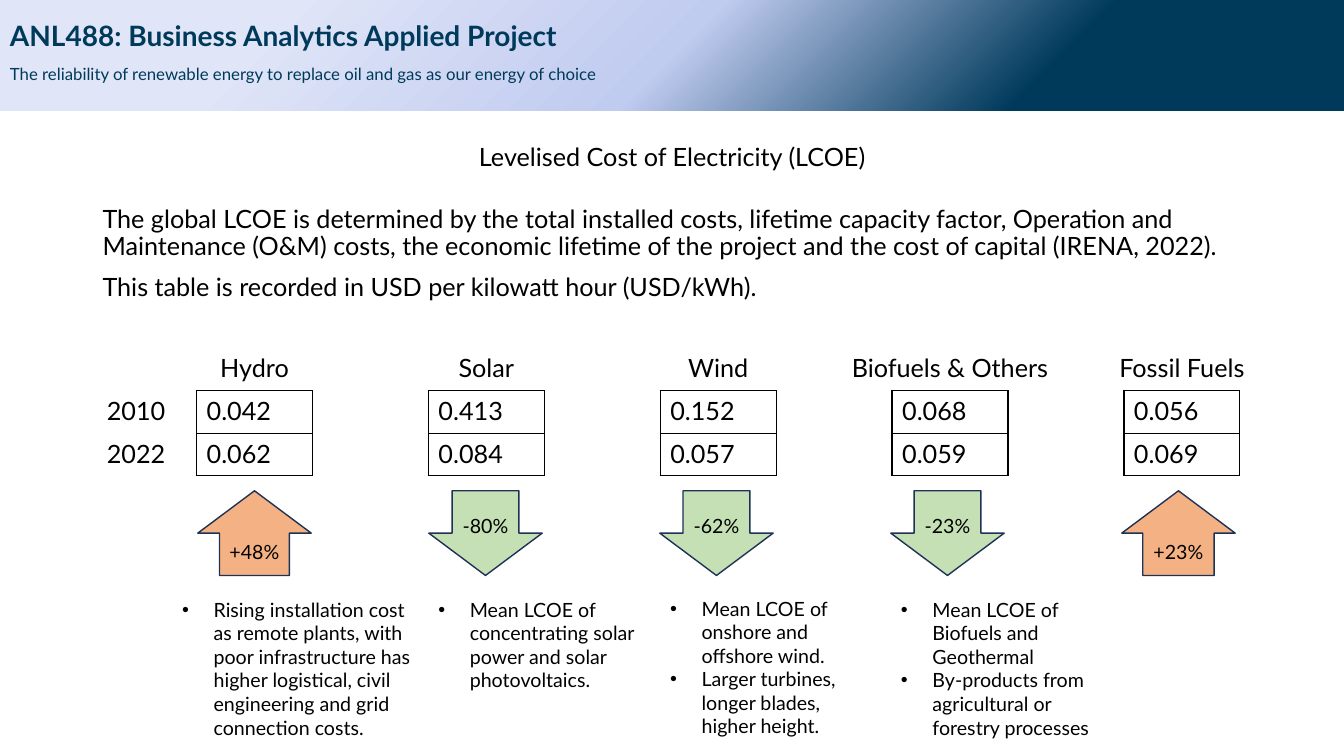
import pptx
import pptx.util
import pptx.dml.color
import pptx.enum.shapes
import pptx.enum.text
import pptx.oxml
import pptx.oxml.ns
import lxml.etree

Pt = pptx.util.Pt
RGBColor = pptx.dml.color.RGBColor
SHAPE = pptx.enum.shapes.MSO_SHAPE
ALIGN = pptx.enum.text.PP_ALIGN
ANCHOR = pptx.enum.text.MSO_ANCHOR
qn = pptx.oxml.ns.qn

TITLE = "ANL488: Business Analytics Applied Project"
SUBTITLE = "The reliability of renewable energy to replace oil and gas as our energy of choice"
HEADING = "Levelised Cost of Electricity (LCOE)"
INTRO = [
    "The global LCOE is determined by the total installed costs, lifetime capacity factor, "
    "Operation and Maintenance (O&M) costs, the economic lifetime of the project and the "
    "cost of capital (IRENA, 2022).",
    "This table is recorded in USD per kilowatt hour (USD/kWh).",
]
YEARS = ["2010", "2022"]
SOURCES = [
    ("Hydro", 82, ("0.042", "0.062"), "+48%", 0.616),
    ("Solar", 82, ("0.413", "0.084"), "-80%", 0.589),
    ("Wind", 82, ("0.152", "0.057"), "-62%", 0.589),
    ("Biofuels & Others", 158, ("0.068", "0.059"), "-23%", 0.589),
    ("Fossil Fuels", 110, ("0.056", "0.069"), "+23%", 0.629),
]
NOTES = [
    (123, 423.4, 178, 109, ["Rising installation cost as remote plants, with poor infrastructure has "
                            "higher logistical, civil engineering and grid connection costs."]),
    (306, 423.4, 160, 75, ["Mean LCOE of concentrating solar power and solar photovoltaics."]),
    (471.6, 422.6, 160, 109, ["Mean LCOE of onshore and offshore wind.",
                              "Larger turbines, longer blades, higher height."]),
    (636.5, 423.4, 153, 109, ["Mean LCOE of Biofuels and Geothermal",
                              "By-products from agricultural or forestry processes"]),
]

NAVY = RGBColor(0x00, 0x3A, 0x5B)
OUTLINE = RGBColor(0x1E, 0x32, 0x56)
BLACK = RGBColor(0, 0, 0)
WHITE = RGBColor(255, 255, 255)
ORANGE = RGBColor(0xF4, 0xB1, 0x83)
GREEN = RGBColor(0xC5, 0xE0, 0xB4)
GRADIENT = [(23, NAVY), (50, RGBColor(0xC0, 0xCB, 0xF0)), (80, RGBColor(0xE0, 0xE5, 0xF7))]

PAGE_WIDTH, PAGE_HEIGHT = 960, 540
TABLE_LEFT, TABLE_TOP = 69.1, 279.2
YEAR_WIDTH, COLUMN_WIDTH, ROW_HEIGHT = 71.3, 82.8, 30.3
FIRST_CENTRE = TABLE_LEFT + YEAR_WIDTH + COLUMN_WIDTH / 2
ARROW_PITCH, ARROW_WIDTH, ARROW_HEIGHT, ARROW_TOP = 165, 81, 60.5, 350.6


def write(frame, lines, size, colour=BLACK, bold=False, align=ALIGN.LEFT,
          spacing=None, gap=0, bullet=False):
    frame.word_wrap = True
    for index, line in enumerate(lines):
        para = frame.paragraphs[0] if index == 0 else frame.add_paragraph()
        if bullet:
            properties = para._p.get_or_add_pPr()
            properties.set("marL", str(Pt(22.5)))
            properties.set("indent", str(-Pt(22.5)))
            lxml.etree.SubElement(properties, qn("a:buFont")).set("typeface", "Arial")
            lxml.etree.SubElement(properties, qn("a:buChar")).set("char", "•")
        para.alignment = align
        if spacing:
            para.line_spacing = spacing
        if index and gap:
            para.space_before = Pt(gap)
        span = para.add_run()
        span.text = line
        look = {"name": "Lato", "size": Pt(size), "bold": bold}
        for key, value in look.items():
            setattr(span.font, key, value)
        span.font.color.rgb = colour


def add_text(left, top, width, height, lines, size, **look):
    box = page.shapes.add_textbox(Pt(left), Pt(top), Pt(width), Pt(height))
    write(box.text_frame, lines, size, **look)


def fill_gradient(shape):
    stops = "".join(f'<a:gs pos="{place * 1000}"><a:srgbClr val="{colour}"/></a:gs>'
                    for place, colour in GRADIENT)
    gradient = pptx.oxml.parse_xml(
        f'<a:gradFill {pptx.oxml.ns.nsdecls("a")} rotWithShape="1"><a:gsLst>{stops}</a:gsLst>'
        '<a:path path="circle"><a:fillToRect l="100000" t="100000"/></a:path></a:gradFill>')
    shape._element.spPr.find(qn("a:prstGeom")).addnext(gradient)


def set_borders(cell, colours):
    properties = cell._tc.get_or_add_tcPr()
    for index, (side, colour) in enumerate(zip(("lnL", "lnR", "lnT", "lnB"), colours)):
        paint = f'<a:solidFill><a:srgbClr val="{colour}"/></a:solidFill>' if colour else "<a:noFill/>"
        properties.insert(index, pptx.oxml.parse_xml(
            f'<a:{side} {pptx.oxml.ns.nsdecls("a")} w="12700">{paint}</a:{side}>'))


deck = pptx.Presentation()
deck.slide_width, deck.slide_height = Pt(PAGE_WIDTH), Pt(PAGE_HEIGHT)
page = deck.slides.add_slide(deck.slide_layouts[6])

banner = page.shapes.add_shape(SHAPE.RECTANGLE, 0, 0, Pt(PAGE_WIDTH), Pt(79.2))
banner.shadow.inherit = False
banner.line.fill.background()
fill_gradient(banner)
banner.text_frame.vertical_anchor = ANCHOR.MIDDLE
banner.text_frame.margin_bottom = Pt(29)
write(banner.text_frame, [TITLE], 20, colour=NAVY, bold=True, spacing=0.9)

add_text(66.2, 144, 828, 80, INTRO, 18, spacing=0.9, gap=10)
add_text(0, 43.9, 531, 22.3, [SUBTITLE], 12, colour=NAVY, spacing=0.9)
add_text(66.2, 97.2, 828, 29, [HEADING], 18, align=ALIGN.CENTER)

column_count = 2 * len(SOURCES)
table_frame = page.shapes.add_table(
    len(YEARS), column_count, Pt(TABLE_LEFT), Pt(TABLE_TOP),
    Pt(YEAR_WIDTH + COLUMN_WIDTH * (column_count - 1)), Pt(ROW_HEIGHT * len(YEARS)))
table = table_frame.table
table.first_row = table.horz_banding = False
for index, column in enumerate(table.columns):
    column.width = Pt(COLUMN_WIDTH if index else YEAR_WIDTH)
for row, year in enumerate(YEARS):
    table.rows[row].height = Pt(ROW_HEIGHT)
    for column in range(column_count):
        cell = table.cell(row, column)
        cell.fill.solid()
        cell.fill.fore_color.rgb = WHITE
        if column % 2:
            set_borders(cell, [BLACK] * 4)
            content = SOURCES[column // 2][2][row]
        else:
            set_borders(cell, [BLACK if column else None, BLACK, None, None])
            content = "" if column else year
        write(cell.text_frame, [content], 18)

for index, (name, width, values, change, shaft) in enumerate(SOURCES):
    heading_centre = FIRST_CENTRE + index * 2 * COLUMN_WIDTH
    add_text(heading_centre - width / 2, 248.4, width, 29, [name], 18, align=ALIGN.CENTER)

    rising = change.startswith("+")
    arrow = page.shapes.add_shape(
        SHAPE.UP_ARROW if rising else SHAPE.DOWN_ARROW,
        Pt(FIRST_CENTRE + index * ARROW_PITCH - ARROW_WIDTH / 2), Pt(ARROW_TOP),
        Pt(ARROW_WIDTH), Pt(ARROW_HEIGHT))
    arrow.shadow.inherit = False
    arrow.adjustments[0], arrow.adjustments[1] = shaft, 0.5
    arrow.fill.solid()
    arrow.fill.fore_color.rgb = ORANGE if rising else GREEN
    arrow.line.color.rgb = OUTLINE
    arrow.line.width = Pt(1)
    frame = arrow.text_frame
    frame.vertical_anchor = ANCHOR.MIDDLE
    frame.margin_left = frame.margin_right = 0
    frame.margin_top = Pt(11)
    write(frame, [change], 14, align=ALIGN.CENTER)

for left, top, width, height, lines in NOTES:
    add_text(left, top, width, height, lines, 14, bullet=True)

deck.save("out.pptx")
